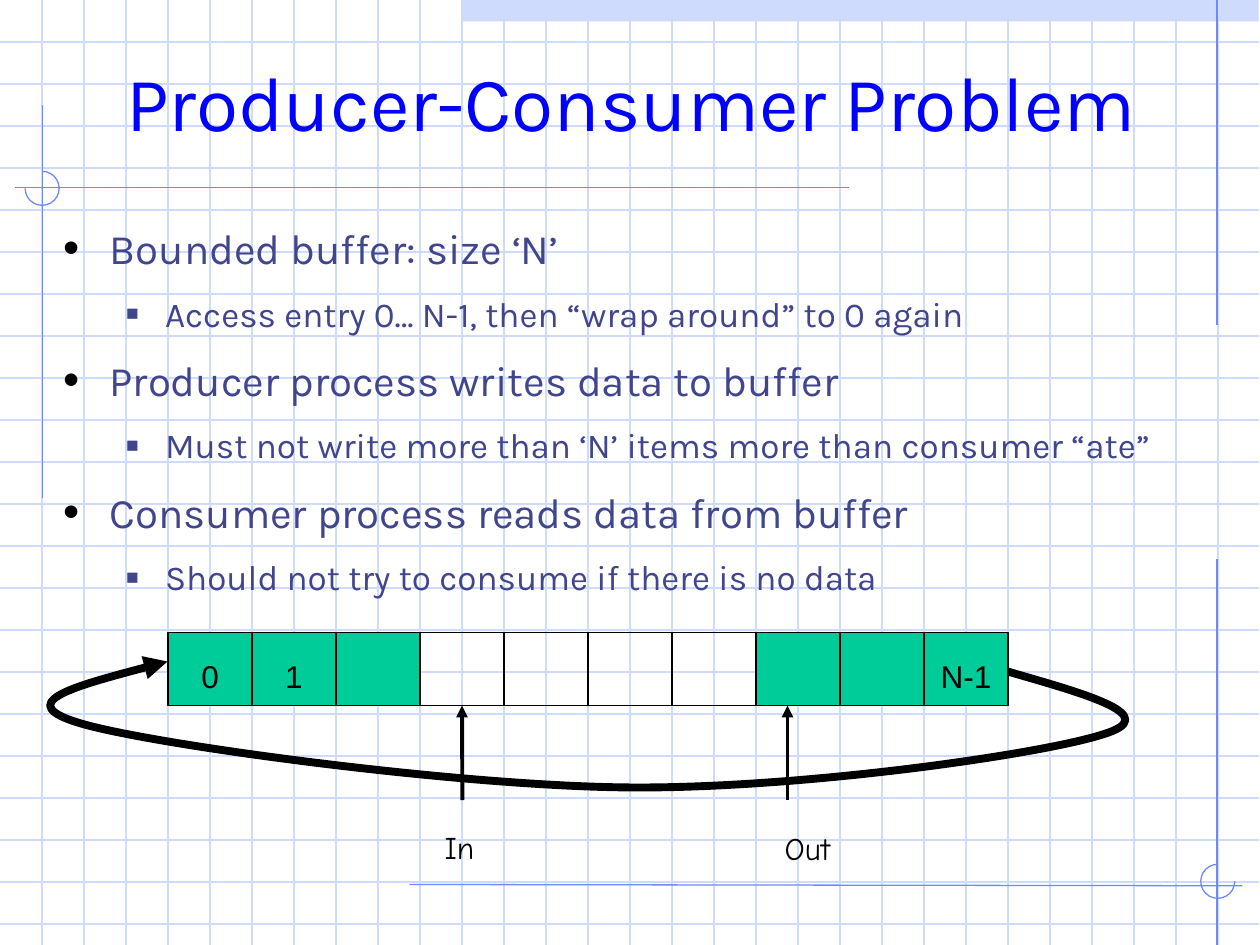
from dataclasses import dataclass
from typing import NamedTuple

from lxml import etree
from pptx import Presentation
from pptx.dml.color import RGBColor
from pptx.enum import shapes, text
from pptx.oxml import ns
from pptx.util import Inches, Pt


@dataclass(frozen=True)
class Theme:
    grid: str = "CFDBFD"
    rule: str = "6F89F7"
    title: str = "0000FF"
    body: str = "40458C"
    ink: str = "000000"
    filled: str = "00CC99"
    heading_font: str = "Karla"
    cell_font: str = "Arial"
    label_font: str = "Comic Neue"
    title_size: float = 44
    topic_size: float = 24
    detail_size: float = 20
    label_size: float = 18
    thin: float = 0.75
    arrow: float = 2.25
    loop: float = 4.5


class Level(NamedTuple):
    size: float
    margin: float
    hanging: float
    before: float
    after: float
    bullet: str
    bullet_color: str
    bullet_percent: int


class Rule(NamedTuple):
    start: tuple[float, float]
    end: tuple[float, float]


class Corner(NamedTuple):
    left: float
    top: float
    angles: tuple[float, float]


class Pointer(NamedTuple):
    name: str
    x: float
    label_left: float
    label_top: float
    label_width: float


THEME = Theme()
LEVELS = (
    Level(THEME.topic_size, 0.37, 0.37, 8, 3, "•", THEME.ink, 110),
    Level(THEME.detail_size, 0.81, 0.31, 7, 2.5, "■", THEME.body, 60),
)
POINTS = (
    (0, "Bounded buffer: size ‘N’"),
    (1, "Access entry 0… N-1, then “wrap around” to 0 again"),
    (0, "Producer process writes data to buffer"),
    (1, "Must not write more than ‘N’ items more than consumer “ate”"),
    (0, "Consumer process reads data from buffer"),
    (1, "Should not try to consume if there is no data"),
)
RULES = (
    Rule((9.66, 0), (9.66, 2.58)),
    Rule((0.34, 0.83), (0.34, 3.95)),
    Rule((6.74, 1.49), (0.12, 1.49)),
    Rule((3.25, 7.02), (9.86, 7.03)),
    Rule((9.66, 4.44), (9.66, 7.58)),
)
CORNERS = (Corner(0.2, 1.36, (270, 180)), Corner(9.53, 6.86, (0, 270)))
ENTRIES = ("0", "1", "", None, None, None, None, "", "", "N-1")
IN = Pointer("In", 3.67, 3.43, 6.42, 0.5)
OUT = Pointer("Out", 6.25, 6.13, 6.43, 0.6)
WRAP_AROUND = (
    (8, 5.33),
    (8.62, 5.51), (9.25, 5.68), (8.75, 5.83),
    (8.25, 5.99), (6.35, 6.26), (5, 6.25),
    (3.65, 6.24), (1.28, 5.92), (0.67, 5.75),
    (0.06, 5.58), (0.69, 5.42), (1.33, 5.25),
)
GRID_STEP = 1 / 3
CELL_LEFT, CELL_TOP, CELL_WIDTH, CELL_HEIGHT = 4 / 3, 5.02, 2 / 3, 0.58
POINTER_FOOT = 6.35


def apply(target, values: dict) -> None:
    for name, value in values.items():
        setattr(target, name, value)


def margins(side: float, edge: float) -> dict:
    return {"margin_left": Inches(side), "margin_right": Inches(side),
            "margin_top": Inches(edge), "margin_bottom": Inches(edge)}


def add_child(parent, tag: str, **attributes: str):
    return etree.SubElement(parent, ns.qn(tag), attributes)


def write(paragraph, words: str, font: str, size: float, color: str, **layout) -> None:
    run = paragraph.add_run()
    run.text = words
    apply(run.font, {"name": font, "size": Pt(size)})
    run.font.color.rgb = RGBColor.from_string(color)
    apply(paragraph, layout)


def set_line(item, color: str, width: float, arrow: bool = False) -> None:
    item.line.color.rgb = RGBColor.from_string(color)
    item.line.width = Pt(width)
    if arrow:
        add_child(item.line._get_or_add_ln(), "a:tailEnd", type="triangle")


def draw_line(canvas, rule: Rule, color: str, width: float, arrow: bool = False):
    ends = (Inches(value) for value in (*rule.start, *rule.end))
    line = canvas.add_connector(shapes.MSO_CONNECTOR.STRAIGHT, *ends)
    set_line(line, color, width, arrow)
    add_child(line._element.spPr, "a:effectLst")
    return line


def draw_backdrop(canvas) -> None:
    band = canvas.add_shape(shapes.MSO_SHAPE.RECTANGLE, Inches(3.66), 0, Inches(6.33), Inches(0.17))
    band.shadow.inherit = False
    band.fill.solid()
    band.fill.fore_color.rgb = RGBColor.from_string(THEME.grid)
    band.line.fill.background()
    rows = [Rule((0, i * GRID_STEP), (9.99, i * GRID_STEP)) for i in range(1, 23)]
    columns = [Rule((i * GRID_STEP, 0), (i * GRID_STEP, 7.5)) for i in range(1, 30)]
    for rule in rows + columns:
        draw_line(canvas, rule, THEME.grid, THEME.thin)
    for rule in RULES:
        draw_line(canvas, rule, THEME.rule, THEME.thin)
    for corner in CORNERS:
        arc = canvas.add_shape(shapes.MSO_SHAPE.ARC, Inches(corner.left), Inches(corner.top),
                               Inches(0.27), Inches(0.27))
        arc.shadow.inherit = False
        arc.fill.background()
        for index, angle in enumerate(corner.angles):
            arc.adjustments[index] = angle * 0.6
        set_line(arc, THEME.rule, THEME.thin)


def place(canvas, holder, left: float, top: float, width: float, height: float, anchor):
    canvas._spTree.append(holder._element)
    apply(holder, {"left": Inches(left), "top": Inches(top),
                   "width": Inches(width), "height": Inches(height)})
    apply(holder.text_frame, {**margins(0, 0), "word_wrap": True, "vertical_anchor": anchor,
                              "auto_size": text.MSO_AUTO_SIZE.NONE})
    return holder.text_frame


def write_point(paragraph, depth: int, words: str) -> None:
    level = LEVELS[depth]
    write(paragraph, words, THEME.heading_font, level.size, THEME.body, level=depth,
          line_spacing=1.04, space_before=Pt(level.before), space_after=Pt(level.after))
    properties = paragraph._p.get_or_add_pPr()
    properties.set("marL", str(Inches(level.margin)))
    properties.set("indent", str(-Inches(level.hanging)))
    add_child(add_child(properties, "a:buClr"), "a:srgbClr", val=level.bullet_color)
    add_child(properties, "a:buSzPct", val=str(level.bullet_percent * 1000))
    add_child(properties, "a:buFont", typeface=THEME.cell_font)
    add_child(properties, "a:buChar", char=level.bullet)


def draw_cell(canvas, index: int, entry: str | None):
    cell = canvas.add_shape(shapes.MSO_SHAPE.RECTANGLE, Inches(CELL_LEFT + index * CELL_WIDTH),
                            Inches(CELL_TOP), Inches(CELL_WIDTH), Inches(CELL_HEIGHT))
    cell.shadow.inherit = False
    set_line(cell, THEME.ink, THEME.thin)
    if entry is None:
        cell.fill.background()
    else:
        cell.fill.solid()
        cell.fill.fore_color.rgb = RGBColor.from_string(THEME.filled)
    if entry:
        apply(cell.text_frame, {**margins(0.1, 0.05), "word_wrap": False,
                                "vertical_anchor": text.MSO_ANCHOR.MIDDLE})
        write(cell.text_frame.paragraphs[0], entry, THEME.cell_font, THEME.label_size, THEME.ink,
              alignment=text.PP_ALIGN.CENTER, line_spacing=1.34)
    return cell


def draw_pointer(canvas, pointer: Pointer):
    rule = Rule((pointer.x, POINTER_FOOT), (pointer.x, CELL_TOP + CELL_HEIGHT))
    arrow = draw_line(canvas, rule, THEME.ink, THEME.arrow, arrow=True)
    label = canvas.add_textbox(Inches(pointer.label_left), Inches(pointer.label_top),
                               Inches(pointer.label_width), Inches(0.5))
    apply(label.text_frame, {**margins(0.1, 0.05), "margin_right": 0, "word_wrap": False,
                             "auto_size": text.MSO_AUTO_SIZE.NONE})
    write(label.text_frame.paragraphs[0], pointer.name, THEME.label_font, THEME.label_size,
          THEME.ink, alignment=text.PP_ALIGN.LEFT, line_spacing=1.34)
    return arrow


def draw_wrap_around(canvas) -> None:
    start, *controls = [(Inches(x), Inches(y)) for x, y in WRAP_AROUND]
    builder = canvas.build_freeform(*start)
    builder.add_line_segments(controls, close=False)
    loop = builder.convert_to_shape()
    outline = next(loop._element.iter(ns.qn("a:path")))
    steps = outline.findall(ns.qn("a:lnTo"))
    for first in range(0, len(steps), 3):
        curve = add_child(outline, "a:cubicBezTo")
        for step in steps[first:first + 3]:
            curve.append(step[0])
            outline.remove(step)
    loop.shadow.inherit = False
    loop.fill.background()
    set_line(loop, THEME.ink, THEME.loop, arrow=True)


def main() -> None:
    deck = Presentation()
    apply(deck, {"slide_width": Inches(10), "slide_height": Inches(7.5)})
    slide = deck.slides.add_slide(deck.slide_layouts[1])
    canvas = slide.shapes
    draw_backdrop(canvas)
    heading = place(canvas, canvas.title, 1, 0, 8.5, 1.57, text.MSO_ANCHOR.MIDDLE)
    write(heading.paragraphs[0], "Producer-Consumer Problem", THEME.heading_font,
          THEME.title_size, THEME.title, alignment=text.PP_ALIGN.LEFT, line_spacing=1.04)
    points = place(canvas, slide.placeholders[1], 0.5, 1.75, 9, 4.95, text.MSO_ANCHOR.TOP)
    for index, (depth, words) in enumerate(POINTS):
        write_point(points.add_paragraph() if index else points.paragraphs[0], depth, words)
    cells = [draw_cell(canvas, index, entry) for index, entry in enumerate(ENTRIES)]
    draw_pointer(canvas, OUT)
    draw_pointer(canvas, IN).end_connect(cells[3], 2)
    draw_wrap_around(canvas)
    deck.save("out.pptx")


if __name__ == "__main__":
    main()
